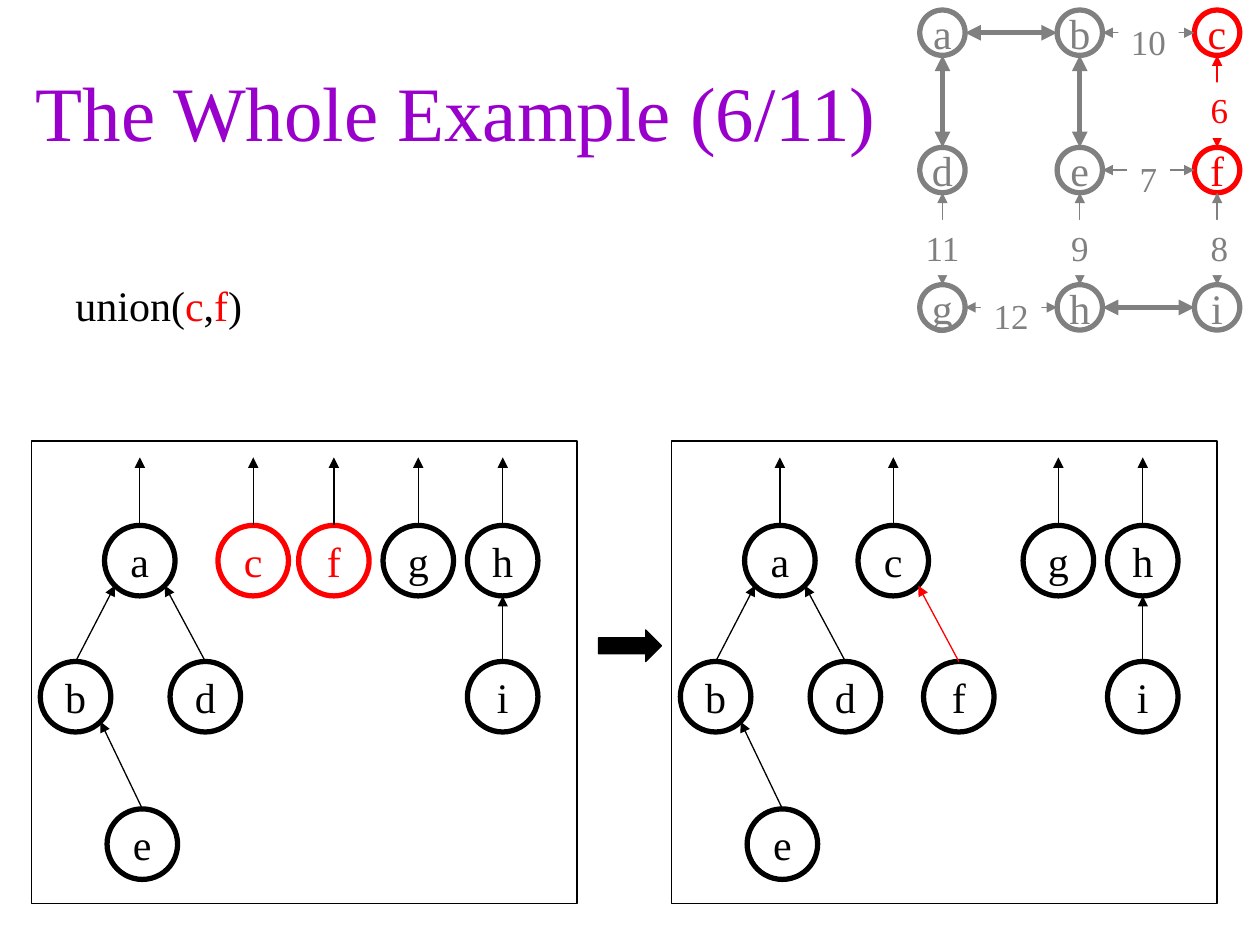
from dataclasses import dataclass
from math import sqrt
from typing import NamedTuple

from lxml import etree
from pptx import Presentation
from pptx import util as u
from pptx.dml.color import RGBColor
from pptx.enum import shapes, text
from pptx.oxml import ns


@dataclass(frozen=True)
class Theme:
    font: str = "Times New Roman"
    title: str = "9900CC"
    ink: str = "000000"
    muted: str = "808080"
    accent: str = "FF0000"
    paper: str = "FFFFFF"
    title_size: int = 44
    body_size: int = 24
    weight_size: int = 20
    thin: float = 0.75
    thick: float = 3


class Point(NamedTuple):
    x: float
    y: float


class Edge(NamedTuple):
    """Link between two network nodes; without a weight it is already chosen."""
    start: str
    end: str
    weight: str = ""
    label_width: float = 0
    active: bool = False


class Node(NamedTuple):
    """Tree node: distance from the panel's left side, level and parent."""
    x: float
    level: int
    parent: str = ""
    active_node: bool = False
    active_link: bool = False


THEME = Theme()
SLIDE_W, SLIDE_H = 10, 7.5

NETWORK_ROWS = ("abc", "def", "ghi")
NETWORK_START, NETWORK_STEP, NETWORK_RADIUS = Point(7.48, 0.26), 1.09, 0.18
ACTIVE_NODES = "cf"
EDGES = (
    Edge("a", "b"), Edge("a", "d"), Edge("b", "e"), Edge("h", "i"),
    Edge("b", "c", "10", 0.48), Edge("e", "f", "7", 0.34),
    Edge("g", "h", "12", 0.48), Edge("d", "g", "11", 0.49),
    Edge("e", "h", "9", 0.58), Edge("f", "i", "8", 0.3),
    Edge("c", "f", "6", 0.3, active=True),
)
LABEL_RISE, LABEL_H = 0.15, 0.44

PANEL_LEFTS, PANEL_TOP, PANEL_W, PANEL_H = (0.25, 5.33), 3.5, 4.33, 3.67
LEVELS, ROOT_ARROW_TOP, TREE_RADIUS = (4.45, 5.53, 6.7), 3.63, 0.28
SHARED_TREE = {
    "a": Node(0.86, 0), "g": Node(3.07, 0), "h": Node(3.74, 0),
    "b": Node(0.35, 1, "a"), "d": Node(1.38, 1, "a"),
    "i": Node(3.74, 1, "h"), "e": Node(0.88, 2, "b"),
}
BEFORE = SHARED_TREE | {"c": Node(1.76, 0, active_node=True),
                        "f": Node(2.4, 0, active_node=True)}
AFTER = SHARED_TREE | {"c": Node(1.76, 0),
                       "f": Node(2.28, 1, "c", active_link=True)}


def rgb(color: str) -> RGBColor:
    return RGBColor.from_string(color)


def add_span(para, words: str, size: float, color: str) -> None:
    span = para.add_run()
    span.text = words
    span.font.name = THEME.font
    span.font.size = u.Pt(size)
    span.font.color.rgb = rgb(color)


def add_box(page, kind, left: float, top: float, width: float, height: float,
            fill: str = "", line: str = "", weight: float = THEME.thin):
    box = page.shapes.add_shape(kind, *map(u.Inches, (left, top, width, height)))
    box.shadow.inherit = False
    if fill:
        box.fill.solid()
        box.fill.fore_color.rgb = rgb(fill)
    else:
        box.fill.background()
    if line:
        box.line.color.rgb = rgb(line)
        box.line.width = u.Pt(weight)
    else:
        box.line.fill.background()
    return box


def add_circle(page, center: Point, radius: float, name: str, color: str) -> None:
    circle = add_box(page, shapes.MSO_SHAPE.OVAL, center.x - radius,
                     center.y - radius, 2 * radius, 2 * radius,
                     line=color, weight=THEME.thick)
    frame = circle.text_frame
    frame.word_wrap = False
    frame.vertical_anchor = text.MSO_ANCHOR.MIDDLE
    frame.paragraphs[0].alignment = text.PP_ALIGN.CENTER
    add_span(frame.paragraphs[0], name, THEME.body_size, color)


def add_arrow(page, start: Point, end: Point, color: str,
              weight: float = THEME.thin, both_ends: bool = False) -> None:
    arrow = page.shapes.add_connector(shapes.MSO_CONNECTOR.STRAIGHT,
                                      *map(u.Inches, (*start, *end)))
    arrow.line.color.rgb = rgb(color)
    arrow.line.width = u.Pt(weight)
    line = arrow.line._get_or_add_ln()
    for tag in ("a:headEnd", "a:tailEnd") if both_ends else ("a:tailEnd",):
        etree.SubElement(line, ns.qn(tag), type="triangle")
    etree.SubElement(arrow._element.spPr, ns.qn("a:effectLst"))


def add_weight(page, edge: Edge, middle: Point, wrap: bool, color: str) -> None:
    label = add_box(page, shapes.MSO_SHAPE.RECTANGLE,
                    middle.x - edge.label_width / 2, middle.y - LABEL_RISE,
                    edge.label_width, LABEL_H, fill=THEME.paper)
    frame = label.text_frame
    frame.word_wrap = wrap
    frame.auto_size = text.MSO_AUTO_SIZE.SHAPE_TO_FIT_TEXT
    frame.vertical_anchor = text.MSO_ANCHOR.TOP
    frame.paragraphs[0].alignment = text.PP_ALIGN.CENTER
    add_span(frame.paragraphs[0], edge.weight, THEME.weight_size, color)


def draw_network(page) -> None:
    centers = {name: Point(NETWORK_START.x + col * NETWORK_STEP,
                           NETWORK_START.y + row * NETWORK_STEP)
               for row, names in enumerate(NETWORK_ROWS)
               for col, name in enumerate(names)}
    for name, center in centers.items():
        color = THEME.accent if name in ACTIVE_NODES else THEME.muted
        add_circle(page, center, NETWORK_RADIUS, name, color)
    for edge in EDGES:
        start, end = centers[edge.start], centers[edge.end]
        color = THEME.accent if edge.active else THEME.muted
        vertical = start.x == end.x
        dx, dy = (0, NETWORK_RADIUS) if vertical else (NETWORK_RADIUS, 0)
        add_arrow(page, Point(start.x + dx, start.y + dy),
                  Point(end.x - dx, end.y - dy), color,
                  THEME.thin if edge.weight else THEME.thick, both_ends=True)
        if edge.weight:
            middle = Point((start.x + end.x) / 2, (start.y + end.y) / 2)
            add_weight(page, edge, middle, vertical, color)


def link_end(parent: Point, child: Point) -> Point:
    """Bottom of the parent circle, or its lower diagonal on the child's side."""
    if parent.x == child.x:
        return Point(parent.x, parent.y + TREE_RADIUS)
    reach = TREE_RADIUS / sqrt(2)
    side = reach if child.x > parent.x else -reach
    return Point(parent.x + side, parent.y + reach)


def draw_forest(page, left: float, tree: dict[str, Node]) -> None:
    add_box(page, shapes.MSO_SHAPE.RECTANGLE, left, PANEL_TOP, PANEL_W, PANEL_H,
            THEME.paper, THEME.ink)
    centers = {name: Point(left + node.x, LEVELS[node.level])
               for name, node in tree.items()}
    for name, node in tree.items():
        center = centers[name]
        add_circle(page, center, TREE_RADIUS, name,
                   THEME.accent if node.active_node else THEME.ink)
        end = (link_end(centers[node.parent], center) if node.parent
               else Point(center.x, ROOT_ARROW_TOP))
        add_arrow(page, Point(center.x, center.y - TREE_RADIUS), end,
                  THEME.accent if node.active_link else THEME.ink)


def add_title(page) -> None:
    title = page.shapes.title
    title.left, title.top, title.width, title.height = map(
        u.Inches, (0.08, 0.25, 7.08, 1.25))
    frame = title.text_frame
    frame.auto_size = text.MSO_AUTO_SIZE.NONE
    frame.vertical_anchor = text.MSO_ANCHOR.MIDDLE
    frame.paragraphs[0].alignment = text.PP_ALIGN.CENTER
    add_span(frame.paragraphs[0], "The Whole Example (6/11)",
             THEME.title_size, THEME.title)


def add_operation(page) -> None:
    box = page.shapes.add_textbox(*map(u.Inches, (0.5, 2.17, 1.55, 0.5)))
    frame = box.text_frame
    frame.word_wrap = False
    frame.auto_size = text.MSO_AUTO_SIZE.SHAPE_TO_FIT_TEXT
    for words in ("union(", "c", ",", "f", ")"):
        add_span(frame.paragraphs[0], words, THEME.body_size,
                 THEME.accent if words in ACTIVE_NODES else THEME.ink)


def main() -> None:
    deck = Presentation()
    deck.slide_width, deck.slide_height = u.Inches(SLIDE_W), u.Inches(SLIDE_H)
    page = deck.slides.add_slide(deck.slide_layouts.get_by_name("Title Only"))
    add_title(page)
    add_operation(page)
    draw_network(page)
    for left, tree in zip(PANEL_LEFTS, (BEFORE, AFTER)):
        draw_forest(page, left, tree)
    add_box(page, shapes.MSO_SHAPE.RIGHT_ARROW, 4.75, 5, 0.5, 0.25,
            THEME.ink, THEME.ink)
    deck.save("out.pptx")


if __name__ == "__main__":
    main()
